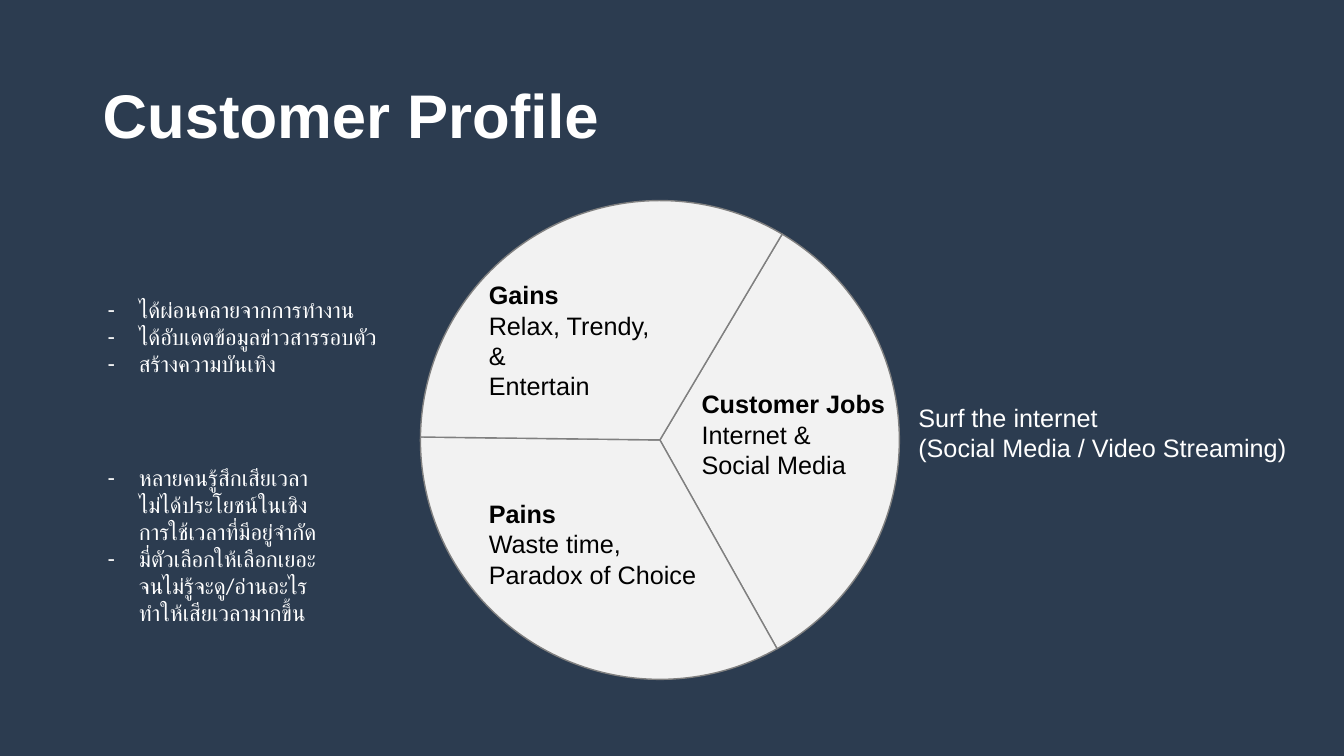
from copy import deepcopy
from dataclasses import dataclass

from lxml import etree
from pptx import Presentation
from pptx.dml.color import RGBColor
from pptx.enum.shapes import MSO_SHAPE
from pptx.enum.text import MSO_ANCHOR
from pptx.oxml.ns import qn
from pptx.util import Inches, Pt

PIE = MSO_SHAPE.PIE
TOP = MSO_ANCHOR.TOP
MID = MSO_ANCHOR.MIDDLE


@dataclass(frozen=True)
class Theme:
    navy: RGBColor = RGBColor(0x2C, 0x3C, 0x50)
    white: RGBColor = RGBColor(0xFF, 0xFF, 0xFF)
    black: RGBColor = RGBColor(0, 0, 0)
    pale: RGBColor = RGBColor(0xF2, 0xF2, 0xF2)
    gray: RGBColor = RGBColor(0x80, 0x80, 0x80)
    font: str = "Arial"
    thai: str = "Calibri"
    head: int = 44
    body: int = 18
    note: int = 16


THEME = Theme()


def add_dash(para):
    props = para._p.get_or_add_pPr()
    props.set("marL", str(Inches(0.31)))
    props.set("indent", str(-Inches(0.31)))
    etree.SubElement(props, qn("a:buFont"), typeface=THEME.font)
    etree.SubElement(props, qn("a:buChar"), char="-")


def style_para(para, size, font, color, bold):
    for run in para.runs:
        run.font.size = Pt(size)
        run.font.name = font
        run.font.color.rgb = color
        run.font.bold = bold
    look = para.runs[0].font._element
    for gap in para._p.findall(qn("a:br")):
        gap.append(deepcopy(look))


def add_text(slide, lines, box, size=THEME.body, font=THEME.font,
             color=THEME.white, anchor=TOP, lead=False, dash=False):
    frame = slide.shapes.add_textbox(*map(Inches, box)).text_frame
    frame.word_wrap = True
    frame.vertical_anchor = anchor
    for row, line in enumerate(lines):
        para = frame.add_paragraph() if row else frame.paragraphs[0]
        para.text = line
        style_para(para, size, font, color, lead and row == 0)
        if dash:
            add_dash(para)


def add_wheel(slide):
    group = slide.shapes.add_group_shape()
    edges = (162, 18, 90)
    for k, start in enumerate(edges):
        slice_ = group.shapes.add_shape(
            PIE, Inches(4.17), Inches(1.99), Inches(4.75), Inches(4.75))
        slice_.adjustments[0] = start
        slice_.adjustments[1] = edges[(k + 1) % len(edges)]
        slice_.rotation = 30.7
        slice_.shadow.inherit = False
        slice_.fill.solid()
        slice_.fill.fore_color.rgb = THEME.pale
        slice_.line.color.rgb = THEME.gray
        slice_.line.width = Pt(1)


def add_label(slide, lines, box):
    add_text(slide, lines, box, color=THEME.black, anchor=MID, lead=True)


def add_notes(slide, lines, box):
    add_text(slide, lines, box, size=THEME.note, font=THEME.thai, dash=True)


def main():
    deck = Presentation()
    deck.slide_width = Inches(13.33)
    deck.slide_height = Inches(7.5)
    slide = deck.slides.add_slide(deck.slide_layouts[6])
    back = slide.background.fill
    back.solid()
    back.fore_color.rgb = THEME.navy

    add_text(slide, ["Customer Profile"], (0.92, 0.4, 11.5, 1.45),
             size=THEME.head, anchor=MID, lead=True)
    add_wheel(slide)
    add_text(slide, ["Surf the internet", "(Social Media / Video Streaming)"],
             (9.01, 3.94, 3.96, 0.71))
    add_label(slide, ["Customer Jobs", "Internet &", "Social Media"],
              (6.86, 3.8, 2.05, 1.01))
    add_label(slide, ["Gains", "Relax, Trendy, &", "Entertain"],
              (4.75, 2.87, 2, 1.01))
    add_label(slide, ["Pains", "Waste time,", "Paradox of Choice"],
              (4.75, 4.89, 2.37, 1.01))
    add_notes(slide, ["ได้ผ่อนคลายจากการทำงาน",
                      "ได้อับเดตข้อมูลข่าวสารรอบตัว",
                      "สร้างความบันเทิง"], (0.97, 2.89, 3.16, 0.91))
    add_notes(slide, [
        "หลายคนรู้สึกเสียเวลา\vไม่ได้ประโยชน์ในเชิง\vการใช้เวลาที่มีอยู่จำกัด",
        "มี่ตัวเลือกให้เลือกเยอะ\vจนไม่รู้จะดู/อ่านอะไร\vทำให้เสียเวลามากขึ้น",
    ], (0.97, 4.56, 2.49, 1.72))
    deck.save("out.pptx")


if __name__ == "__main__":
    main()
